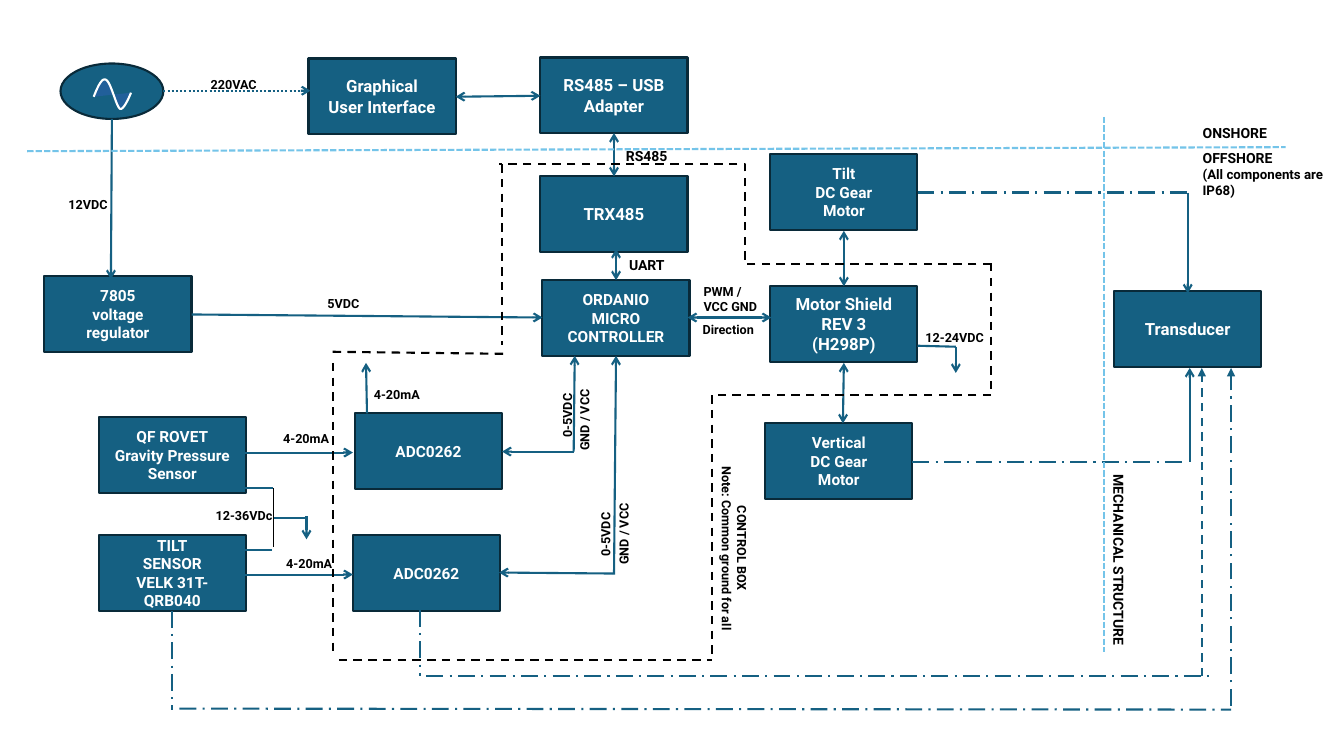
from dataclasses import dataclass

from lxml import etree
from pptx import Presentation
from pptx.dml.color import RGBColor
from pptx.enum.dml import MSO_LINE
from pptx.enum.shapes import MSO_CONNECTOR, MSO_SHAPE
from pptx.enum.text import MSO_ANCHOR, MSO_AUTO_SIZE, PP_ALIGN
from pptx.oxml.ns import qn
from pptx.util import Inches, Pt

RECT, OVAL = MSO_SHAPE.RECTANGLE, MSO_SHAPE.OVAL
STRAIGHT, ELBOW = MSO_CONNECTOR.STRAIGHT, MSO_CONNECTOR.ELBOW
LEFT, CENTER = PP_ALIGN.LEFT, PP_ALIGN.CENTER
MIDDLE, GROW = MSO_ANCHOR.MIDDLE, MSO_AUTO_SIZE.SHAPE_TO_FIT_TEXT
DOT, SHORT, DASH = MSO_LINE.ROUND_DOT, MSO_LINE.SQUARE_DOT, MSO_LINE.DASH
CHAIN = MSO_LINE.LONG_DASH_DOT

COLORS = {
    "box": "156082", "edge": "092A39", "zone": "74C4E9",
    "wave": "215F9A", "ink": "000000", "light": "FFFFFF",
}
FONT = "Roboto"

# The grid has square cells: 133.3 columns by 75 rows.
CELL = Inches(0.1)
COLS, ROWS = 133.3, 75
BOX_W, BOX_H = 14.6, 7.5


@dataclass
class Node:
    col: float
    row: float
    text: str
    size: int = 11
    kind: int = RECT
    width: float = BOX_W
    height: float = BOX_H


@dataclass
class Label:
    col: float
    row: float
    width: float
    text: str
    size: float = 9
    height: float = 2.5
    turn: int = 0
    align: int = LEFT
    rest: float = 0  # size of later paragraphs, if it differs


@dataclass
class Style:
    routes: list
    color: str = "box"
    dash: int | None = None
    head: str = ""
    tail: str = ""
    width: float = 1.5
    kind: int = STRAIGHT


NODES = [
    Node(6, 6.3, "", kind=OVAL, width=10.2, height=5.5),
    Node(30.6, 5.8, "Graphical\nUser Interface", 12),
    Node(53.6, 5.7, "RS485 – USB\nAdapter", 12),
    Node(53.6, 17.5, "TRX485", 12),
    Node(53.8, 27.8, "ORDANIO\nMICRO\nCONTROLLER"),
    Node(76.4, 15.3, "Tilt\nDC Gear\nMotor"),
    Node(76.4, 28.4, "Motor Shield\nREV 3\n(H298P)", 12),
    Node(75.9, 42, "Vertical\nDC Gear\nMotor"),
    Node(110.5, 28.9, "Transducer", 12),
    Node(4.4, 27.4, "7805\nvoltage\nregulator"),
    Node(9.8, 41.4, "QF ROVET\nGravity Pressure\nSensor"),
    Node(9.8, 53.1, "TILT\nSENSOR\nVELK 31T-QRB040"),
    Node(35.2, 41, "ADC0262"),
    Node(35, 53.1, "ADC0262"),
]

# Each route is start column, start row, end column, end row.
STYLES = [
    Style([(16.2, 9, 30.8, 9)], dash=DOT, tail="arrow"),
    Style([
        (11.1, 11.8, 11, 27.7), (19, 31.2, 53.8, 31.5),
        (24.2, 44.9, 35, 44.9), (24.2, 57, 35, 57),
        (60.9, 57, 61.1, 35.3), (60.8, 56.9, 49.5, 56.8),
        (56.9, 44.8, 57, 35.3), (56.9, 44.8, 49.8, 44.8),
        (117.8, 19.1, 117.8, 29.1), (118, 45.8, 118, 36.5),
        (36.4, 41, 36.3, 36), (30.4, 51.2, 30.4, 53.5),
        (94.8, 34.4, 94.8, 37),
    ], tail="arrow"),
    Style([
        (61.1, 27.8, 61.1, 24.7), (83.7, 28.4, 83.7, 22.9),
        (83.7, 36, 83.6, 42), (60.9, 17.5, 60.9, 13.2),
        (53.6, 9.5, 45.2, 9.6), (68.2, 31.5, 76.5, 31.5),
    ], head="arrow", tail="arrow"),
    Style([
        (24.3, 48.4, 27.1, 48.4), (27, 54.6, 23.8, 54.6),
        (30.3, 51.4, 27.1, 51.4), (91, 34.3, 94.8, 34.4),
    ]),
    Style([(27.1, 48.4, 27.1, 54.3)], "ink", width=1),
    Style([
        (91, 19.1, 117.8, 19.1), (90.5, 45.8, 117.6, 45.8),
        (42.3, 67.1, 120, 67.1), (17.8, 70.3, 122.1, 70.4),
        (41.7, 60.5, 41.7, 67.1), (17.1, 60.6, 17.1, 70.4),
    ], dash=CHAIN),
    Style([(122.1, 70, 122.1, 36.5)], dash=CHAIN, tail="triangle"),
    Style([(119.2, 67.1, 119.2, 36.5)], dash=DASH, tail="triangle"),
    Style([(2.7, 15, 127.5, 14.6), (109.5, 11.6, 109.5, 64.7)],
          "zone", SHORT),
    Style([(98.3, 26.2, 49.5, 16.3)], "ink", DASH, kind=ELBOW),
    Style([
        (49.8, 16.3, 49.8, 34.2), (33, 34.9, 49.9, 35.1),
        (33, 36, 33, 64.7), (33.6, 65.5, 70.6, 65.5),
        (70.6, 39.2, 70.6, 65.2), (98.3, 39.2, 71, 39.2),
        (98.3, 26.1, 98.3, 39.2),
    ], "ink", DASH),
]

LABELS = [
    Label(118.3, 11.9, 15, "ONSHORE", 10, 2.7),
    Label(118.3, 14.3, 15, "OFFSHORE\n(All components are IP68)", 10, 5.9,
          rest=9.5),
    Label(99.4, 56.3, 23.1, "MECHANICAL STRUCTURE", 10, 2.7, 90),
    Label(54.9, 52.4, 35.9, "CONTROL BOX\nNote: Common ground for all",
          height=4, turn=90, align=CENTER),
    Label(19.9, 7.1, 7.1, "220VAC"),
    Label(5.8, 19, 7.9, "12VDC"),
    Label(31.5, 28.9, 7.6, "5VDC"),
    Label(61.1, 14.1, 7.1, "RS485", 10, 2.7),
    Label(61.4, 25, 7.1, "UART", 10, 2.7),
    Label(68.8, 27.7, 13.3, "PWM /\nVCC GND", height=4),
    Label(68.7, 31.4, 7.5, "Direction"),
    Label(90.8, 32.2, 10.2, "12-24VDC"),
    Label(20.4, 49.9, 7.9, "12-36VDc"),
    Label(36.1, 37.9, 8.4, "4-20mA"),
    Label(27.1, 42.3, 7.1, "4-20mA"),
    Label(27.4, 54.7, 7.1, "4-20mA"),
    Label(52.7, 39.6, 7.1, "0-5VDC", turn=270),
    Label(52.2, 38.7, 11.5, "GND / VCC", turn=270),
    Label(56.5, 51.4, 7.1, "0-5VDC", turn=270),
    Label(56.1, 50, 11.5, "GND / VCC", turn=270),
]

# Sine wave: a start point, then curves of two controls and an end.
START = (9.3, 9.6)
CURVES = [
    ((9.7, 8.6), (10.1, 7.7), (10.5, 7.9)),
    ((11, 8.1), (11.5, 10.5), (11.9, 10.8)),
    ((12.3, 11), (13, 9.2), (13, 9.2)),
]
STEPS = 10


def cells(*counts: float) -> list[int]:
    return [round(count * CELL) for count in counts]


def tint(name: str) -> RGBColor:
    return RGBColor.from_string(COLORS[name])


def paint(shape, fill: str, line: str) -> None:
    shape.shadow.inherit = False
    shape.fill.solid()
    shape.fill.fore_color.rgb = tint(fill)
    shape.line.color.rgb = tint(line)
    shape.line.width = Pt(1.5)


def write(frame, text: str, sizes: tuple, color: str, align: int) -> None:
    """Set the text; the first size is for the first paragraph only."""
    frame.text = text
    frame.word_wrap = True
    for num, para in enumerate(frame.paragraphs):
        para.alignment = align
        for run in para.runs:
            run.font.name, run.font.bold = FONT, True
            run.font.size = Pt(sizes[min(num, 1)])
            run.font.color.rgb = tint(color)


def add_node(shapes, node: Node) -> None:
    box = shapes.add_shape(
        node.kind, *cells(node.col, node.row, node.width, node.height))
    paint(box, "box", "edge")
    if node.text:
        box.text_frame.vertical_anchor = MIDDLE
        write(box.text_frame, node.text, (node.size, node.size),
              "light", CENTER)


def add_links(shapes, style: Style) -> None:
    for route in style.routes:
        link = shapes.add_connector(style.kind, *cells(*route))
        link.line.color.rgb = tint(style.color)
        link.line.width = Pt(style.width)
        if style.dash is not None:
            link.line.dash_style = style.dash
        props = link._element.spPr
        etree.SubElement(props, qn("a:effectLst"))
        for tag, tip in (("a:headEnd", style.head), ("a:tailEnd", style.tail)):
            if tip:
                etree.SubElement(props.find(qn("a:ln")), qn(tag), type=tip)


def add_label(shapes, label: Label) -> None:
    box = shapes.add_textbox(
        *cells(label.col, label.row, label.width, label.height))
    box.rotation = label.turn
    write(box.text_frame, label.text,
          (label.size, label.rest or label.size), "ink", label.align)
    box.text_frame.auto_size = GROW


def add_wave(shapes) -> None:
    points, last = [], START
    for one, two, end in CURVES:
        for step in range(1, STEPS + 1):
            t = step / STEPS
            u = 1 - t
            points.append(cells(*(
                u**3 * a + 3 * u * u * t * b + 3 * u * t * t * c + t**3 * d
                for a, b, c, d in zip(last, one, two, end))))
        last = end
    pen = shapes.build_freeform(*cells(*START))
    pen.add_line_segments(points, close=False)
    paint(pen.convert_to_shape(), "wave", "light")


def main() -> None:
    deck = Presentation()
    deck.slide_width, deck.slide_height = cells(COLS, ROWS)
    shapes = deck.slides.add_slide(deck.slide_layouts[6]).shapes
    for node in NODES:
        add_node(shapes, node)
    add_wave(shapes)
    for style in STYLES:
        add_links(shapes, style)
    for label in LABELS:
        add_label(shapes, label)
    deck.save("out.pptx")


if __name__ == "__main__":
    main()
